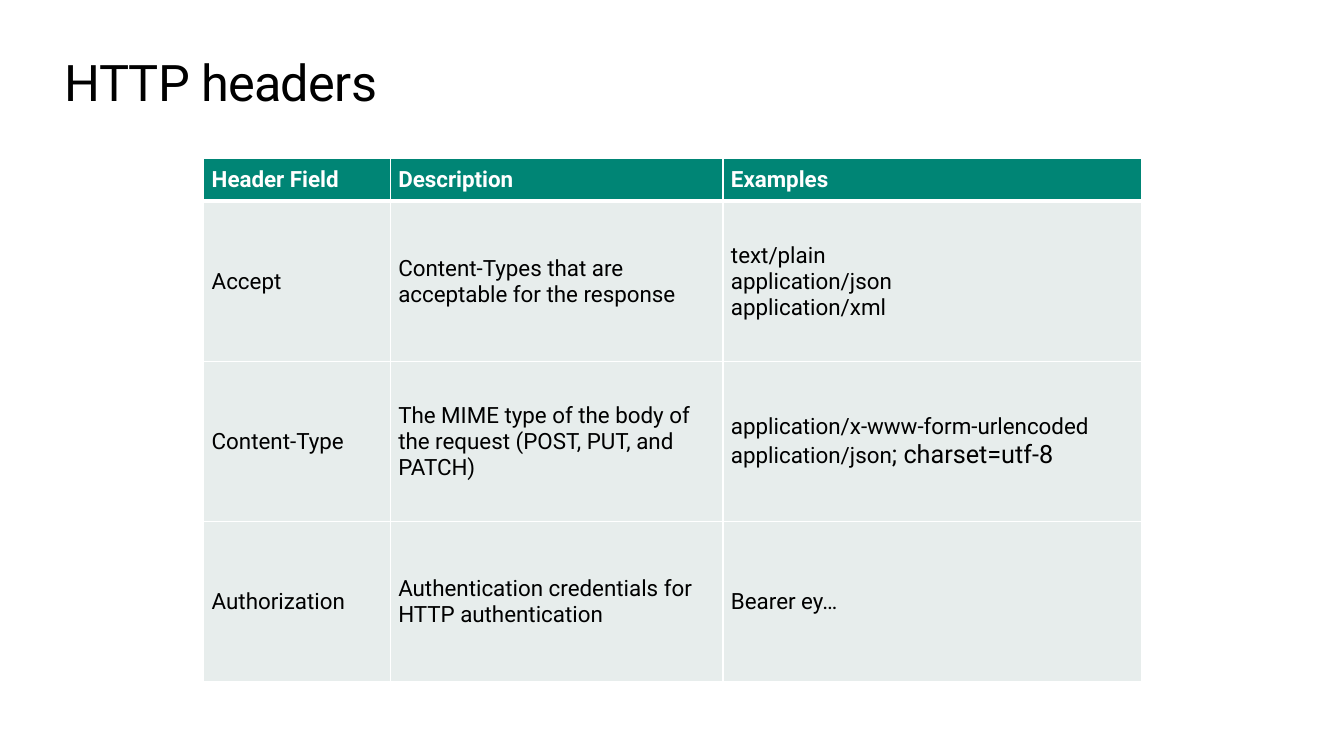
from dataclasses import dataclass

from lxml import etree
from pptx import Presentation
from pptx import util as u
from pptx.dml.color import RGBColor
from pptx.enum import text
from pptx.oxml.ns import qn

PX = 9144  # EMU in one px, 100 px to the inch


@dataclass(frozen=True)
class Theme:
    font: str = "Roboto"
    ink: str = "000000"
    paper: str = "FFFFFF"
    header_fill: str = "008575"
    body_fill: str = "E7EDEC"
    title_size: int = 36
    cell_size: int = 16
    large_size: int = 18
    thin_border: int = 1
    header_rule: int = 3


@dataclass(frozen=True)
class Line:
    """One paragraph of a cell; the tail is set larger."""
    body: str
    tail: str = ""


@dataclass(frozen=True)
class HeaderRow:
    field: str
    description: str
    examples: tuple[Line, ...]


THEME = Theme()
SLIDE_SIZE = (1333, 750)
TITLE_BOX = (64, 50, 1205, 61)
TABLE_BOX = (202, 157, 930, 519)
COLUMN_WIDTHS = (185, 330, 415)
HEADER_HEIGHT, BODY_HEIGHT = 42, 159
CELL_INSET = 8

HEADINGS = ("Header Field", "Description", "Examples")
HEADER_ROWS = (
    HeaderRow("Accept", "Content-Types that are acceptable for the response",
              (Line("text/plain"), Line("application/json"), Line("application/xml"))),
    HeaderRow("Content-Type",
              "The MIME type of the body of the request (POST, PUT, and PATCH)",
              (Line("application/x-www-form-urlencoded"),
               Line("application/json", "; charset=utf-8"))),
    HeaderRow("Authorization", "Authentication credentials for HTTP authentication",
              (Line("Bearer ey…"),)),
)


def px(*lengths: int) -> list[u.Emu]:
    return [u.Emu(length * PX) for length in lengths]


def style_span(span, size: int, color: str, bold: bool = False) -> None:
    span.font.name = THEME.font
    span.font.size = u.Pt(size)
    span.font.bold = bold
    span.font.color.rgb = RGBColor.from_string(color)


def add_title(page, title: str) -> None:
    box = page.shapes.add_textbox(*px(*TITLE_BOX))
    frame = box.text_frame
    frame.text = title
    frame.word_wrap = True
    frame.vertical_anchor = text.MSO_ANCHOR.MIDDLE
    frame.margin_left = frame.margin_right = frame.margin_top = frame.margin_bottom = 0
    span = frame.paragraphs[0].runs[0]
    style_span(span, THEME.title_size, THEME.ink)
    span._r.get_or_add_rPr().set("spc", "-50")


def set_borders(cell, top: int, bottom: int) -> None:
    """Draw the four cell borders; widths are in points."""
    properties = cell._tc.get_or_add_tcPr()
    thin = THEME.thin_border
    for side, width in (("L", thin), ("R", thin), ("T", top), ("B", bottom)):
        border = etree.SubElement(properties, qn(f"a:ln{side}"), w=str(u.Pt(width)))
        fill = etree.SubElement(border, qn("a:solidFill"))
        etree.SubElement(fill, qn("a:srgbClr"), val=THEME.paper)


def fill_cell(cell, lines: tuple[Line, ...], is_heading: bool) -> None:
    color = THEME.paper if is_heading else THEME.ink
    cell.text_frame.text = "\n".join(line.body for line in lines)
    for line, para in zip(lines, cell.text_frame.paragraphs):
        style_span(para.runs[0], THEME.cell_size, color, is_heading)
        if line.tail:
            span = para.add_run()
            span.text = line.tail
            style_span(span, THEME.large_size, color, is_heading)
    cell.vertical_anchor = text.MSO_ANCHOR.MIDDLE
    inset = u.Emu(CELL_INSET * PX)
    cell.margin_left = cell.margin_right = cell.margin_top = cell.margin_bottom = inset


def add_header_table(page) -> None:
    rows = [tuple((Line(heading),) for heading in HEADINGS)]
    rows += [((Line(row.field),), (Line(row.description),), row.examples)
             for row in HEADER_ROWS]
    table = page.shapes.add_table(len(rows), len(HEADINGS), *px(*TABLE_BOX)).table
    for column, width in zip(table.columns, px(*COLUMN_WIDTHS)):
        column.width = width
    for index, row in enumerate(rows):
        is_heading = index == 0
        table.rows[index].height = px(HEADER_HEIGHT if is_heading else BODY_HEIGHT)[0]
        top = THEME.header_rule if index == 1 else THEME.thin_border
        bottom = THEME.header_rule if is_heading else THEME.thin_border
        fill = THEME.header_fill if is_heading else THEME.body_fill
        for cell, lines in zip(table.rows[index].cells, row):
            fill_cell(cell, lines, is_heading)
            set_borders(cell, top, bottom)
            cell.fill.solid()
            cell.fill.fore_color.rgb = RGBColor.from_string(fill)


def main() -> None:
    deck = Presentation()
    deck.slide_width, deck.slide_height = px(*SLIDE_SIZE)
    page = deck.slides.add_slide(deck.slide_layouts[6])
    add_title(page, "HTTP headers")
    add_header_table(page)
    deck.save("out.pptx")


if __name__ == "__main__":
    main()
